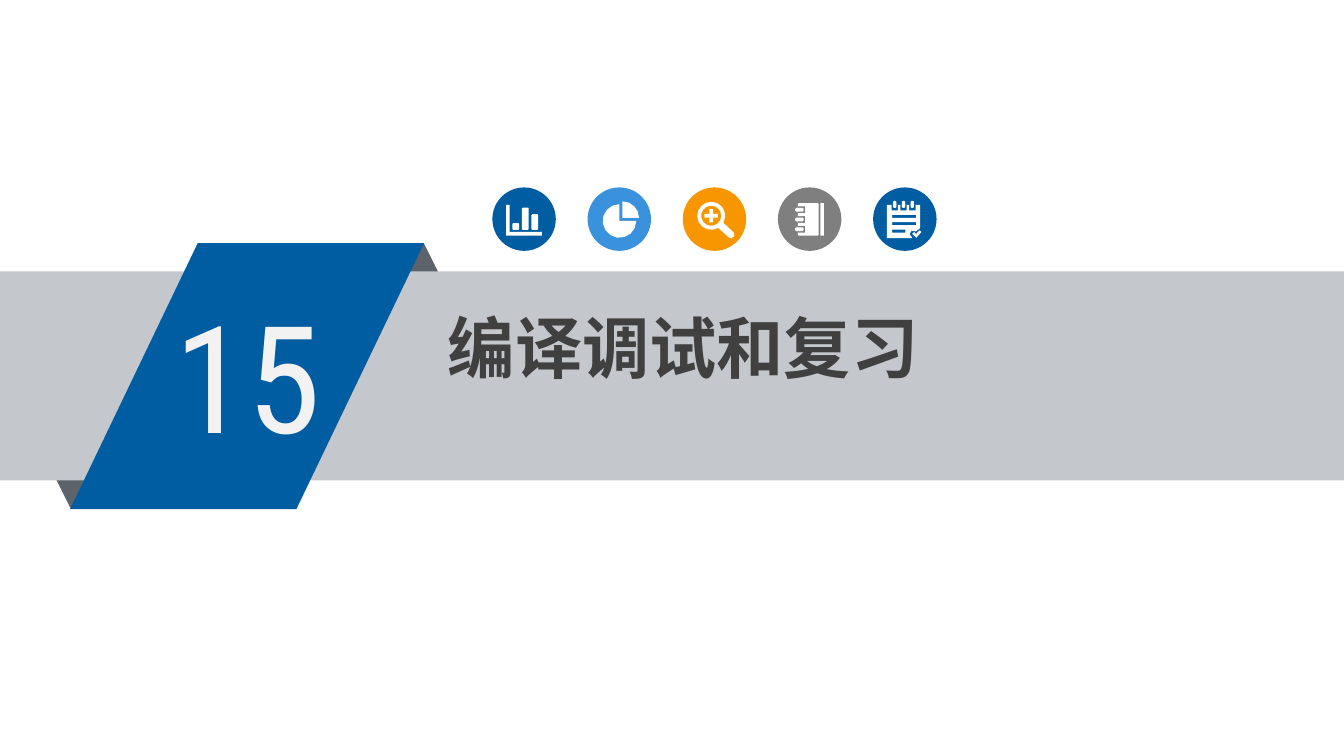
from math import cos, radians, sin

from lxml import etree
from pptx import Presentation
from pptx.dml.color import RGBColor
from pptx.enum.shapes import MSO_SHAPE
from pptx.enum.text import MSO_ANCHOR, MSO_AUTO_SIZE, PP_ALIGN
from pptx.oxml.ns import qn
from pptx.util import Pt

TRIANGLE = MSO_SHAPE.ISOSCELES_TRIANGLE
RECTANGLE = MSO_SHAPE.RECTANGLE
PARALLELOGRAM = MSO_SHAPE.PARALLELOGRAM
OVAL = MSO_SHAPE.OVAL
TOP, LEFT, NO_FIT = MSO_ANCHOR.TOP, PP_ALIGN.LEFT, MSO_AUTO_SIZE.NONE

BLUE, SKY, ORANGE, GRAY = "005DA2", "3992DB", "F79600", "7F7F7F"
BAND, FOLD, WHITE = "C4C7CB", "5D636A", "FFFFFF"
BADGE_SIZE, BADGE_LEFT, BADGE_TOP, BADGE_STEP = 34, 263.75, 100.4, 51


def paint(shape, color):
    """Give a shape a flat fill with no line or shadow."""
    shape.fill.solid()
    shape.fill.fore_color.rgb = RGBColor.from_string(color)
    shape.line.fill.background()
    shape.shadow.inherit = False


def add_block(page, kind, left, top, width, height, color):
    """Add a flat preset shape and return it."""
    shape = page.shapes.add_shape(kind, Pt(left), Pt(top), Pt(width), Pt(height))
    paint(shape, color)
    return shape


def write_text(box, place, text, size, font_name, color, bold=False):
    """Place a text shape and fill it with one formatted line."""
    box.left, box.top, box.width, box.height = (Pt(value) for value in place)
    frame = box.text_frame
    frame.word_wrap = True
    frame.auto_size = NO_FIT
    frame.vertical_anchor = TOP
    frame.margin_left = frame.margin_right = Pt(5.5)
    frame.margin_top = frame.margin_bottom = Pt(2.9)
    frame.text = text
    para = frame.paragraphs[0]
    para.alignment = LEFT
    span = para.runs[0]
    span.font.size = Pt(size)
    span.font.bold = bold
    span.font.color.rgb = RGBColor.from_string(color)
    span.font.name = font_name
    etree.SubElement(span._r.get_or_add_rPr(), qn("a:ea"), typeface=font_name)


def arc(center_x, center_y, radius, start, end):
    """Return points along a clockwise arc, with angles in degrees."""
    steps = round((end - start) / 24)
    angles = [radians(start + (end - start) * i / steps) for i in range(steps + 1)]
    return [(center_x + radius * cos(a), center_y + radius * sin(a)) for a in angles]


def rectangle(left, top, right, bottom):
    """Return the outline of a rectangle."""
    return [(left, top), (right, top), (right, bottom), (left, bottom)]


def bar(left, top, right, bottom, cut=0.5):
    """Return the outline of a rectangle with softened corners."""
    return [(left + cut, top), (right - cut, top), (right, top + cut), (right, bottom - cut),
            (right - cut, bottom), (left + cut, bottom), (left, bottom - cut), (left, top + cut)]


def bar_chart_icon():
    """Return the outlines of axes with three bars."""
    axes = [(7.4, 9.4), (9.2, 9.4), (9.2, 23.8), (26.6, 23.8), (26.6, 25.9), (7.4, 25.9)]
    bars = [(10.7, 19.2), (15.8, 10.8), (20.9, 14.4)]
    return [axes] + [bar(left, top, left + 3.7, 22.8) for left, top in bars]


def pie_icon():
    """Return the outlines of a pie with one quarter pulled out."""
    return [[(17.1, 18)] + arc(17.1, 18, 9, 0, 270),
            [(18.7, 16.4)] + arc(18.7, 16.4, 8.9, 270, 360)]


def magnifier_icon():
    """Return the outlines of a magnifier holding a plus sign."""
    x, y, reach, half = 15.3, 15.2, 3.6, 1
    handle = [(27.6, 24.4), (27.6, 26), (26.2, 27.3), (24.8, 26.9)]
    plus = [(x - half, y - reach), (x + half, y - reach), (x + half, y - half),
            (x + reach, y - half), (x + reach, y + half), (x + half, y + half),
            (x + half, y + reach), (x - half, y + reach), (x - half, y + half),
            (x - reach, y + half), (x - reach, y - half), (x - half, y - half)]
    return [arc(x, y, 7.5, 60, 390) + handle, arc(x, y, 5.4, 0, 336), plus]


def notebook_icon():
    """Return the outlines of a ring-bound notebook."""
    outlines = [bar(10.8, 8.4, 21.8, 25.9), rectangle(22.8, 8.4, 24.6, 25.9)]
    for i in range(3):
        middle = 12 + 5.2 * i
        outlines.append(rectangle(10.8, middle - 1.8, 14.6, middle + 1.8))
        outlines.append(bar(9.3, middle - 1, 13.8, middle + 1))
    return outlines


def notepad_icon():
    """Return the outlines of a written notepad with a check mark."""
    sheet = [(7.4, 9.4), (25.2, 9.4), (25.2, 21.8), (23, 23.6), (20.6, 23.2),
             (19.6, 25), (21, 27.2), (7.4, 27.2)]
    check = [(20.9, 24.9), (22, 23.9), (23, 25), (24.8, 23), (25.9, 23.9), (23.2, 27)]
    lines = [rectangle(10.2, top, right, top + 1.6)
             for top, right in ((14.7, 23), (18.7, 23), (22.6, 17.3))]
    outlines = [sheet, check] + lines
    for i in range(3):
        middle = 11.6 + 4.7 * i
        outlines.append(rectangle(middle - 1.7, 9.4, middle + 1.7, 12.4))
        outlines.append(bar(middle - 0.9, 7.2, middle + 0.9, 11))
    return outlines


def add_icon(page, left, top, outlines):
    """Draw outlines as one white freeform; nested outlines become holes."""
    paths = [[(Pt(left + x), Pt(top + y)) for x, y in outline] for outline in outlines]
    builder = page.shapes.build_freeform(*paths[0][0])
    builder.add_line_segments(paths[0][1:], close=True)
    for path in paths[1:]:
        builder.move_to(*path[0])
        builder.add_line_segments(path[1:], close=True)
    paint(builder.convert_to_shape(), WHITE)


def add_badges(page):
    """Add the row of round icon badges."""
    badges = [(BLUE, bar_chart_icon), (SKY, pie_icon), (ORANGE, magnifier_icon),
              (GRAY, notebook_icon), (BLUE, notepad_icon)]
    for i, (color, icon) in enumerate(badges):
        left = BADGE_LEFT + BADGE_STEP * i
        add_block(page, OVAL, left, BADGE_TOP, BADGE_SIZE, BADGE_SIZE, color)
        add_icon(page, left, BADGE_TOP, icon())


def add_ribbon(page):
    """Add the gray band with the folded blue ribbon and its number."""
    add_block(page, TRIANGLE, 194.5, 130.2, 65, 65.2, FOLD)
    add_block(page, TRIANGLE, 5.5, 207.5, 65, 65.2, FOLD).rotation = 180
    add_block(page, RECTANGLE, 0, 145.4, 720, 112, BAND)
    ribbon = add_block(page, PARALLELOGRAM, 37.6, 130.2, 189.6, 142.5, BLUE)
    ribbon.adjustments[0] = 0.48
    number = page.shapes.add_textbox(0, 0, 0, 0)
    write_text(number, (87.8, 149.4, 104.4, 102.2), "15", 80, "Roboto Condensed", "F2F2F2")


def main():
    """Build the section slide and save it."""
    deck = Presentation()
    deck.slide_width, deck.slide_height = Pt(720), Pt(405)
    page = deck.slides.add_slide(deck.slide_layouts[5])
    add_ribbon(page)
    title = page.shapes.title
    write_text(title, (234.4, 161.3, 397.4, 49), "编译调试和复习", 36,
               "Noto Sans CJK SC", "404040", bold=True)
    page.shapes._spTree.append(title._element)
    add_badges(page)
    deck.save("out.pptx")


if __name__ == "__main__":
    main()
